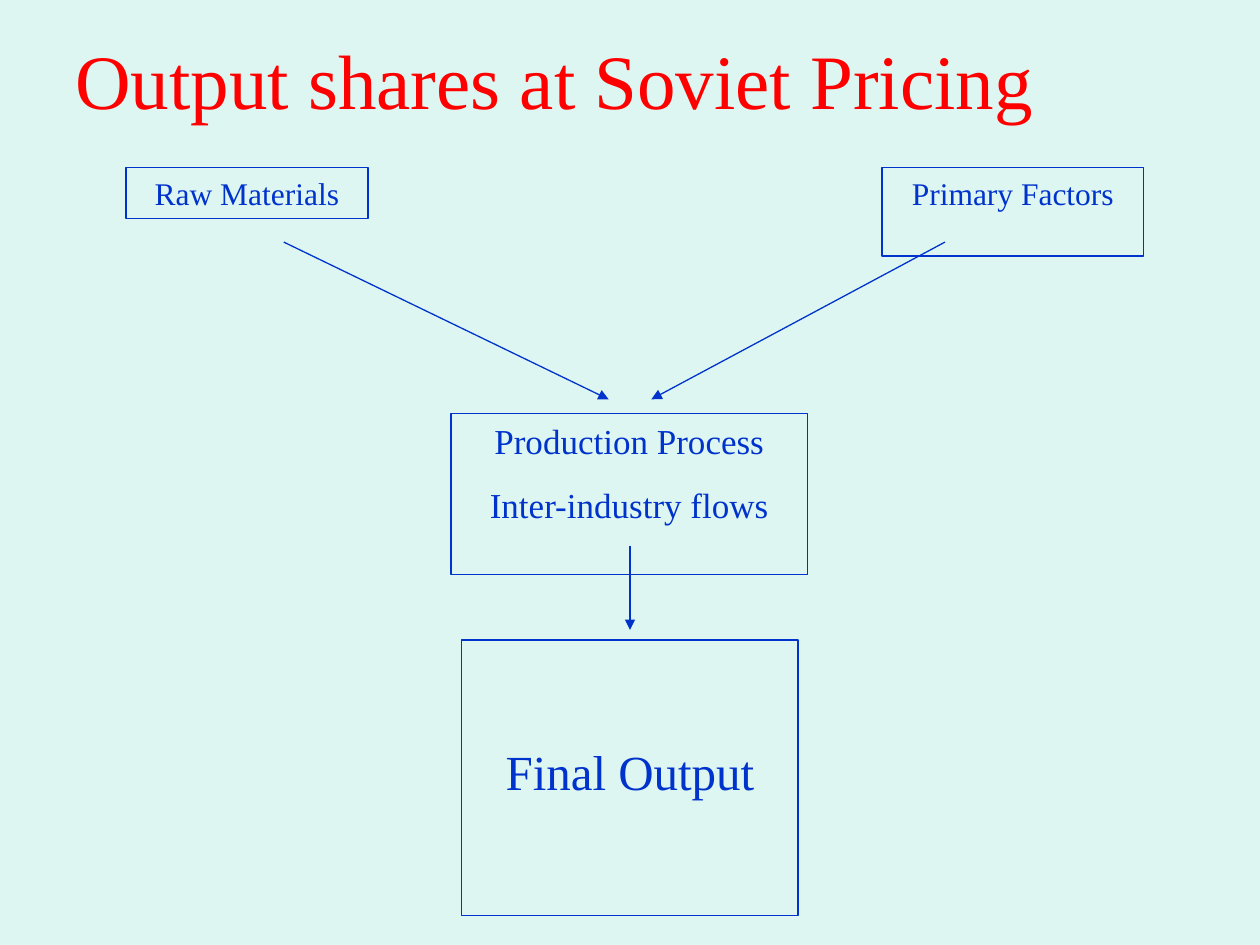
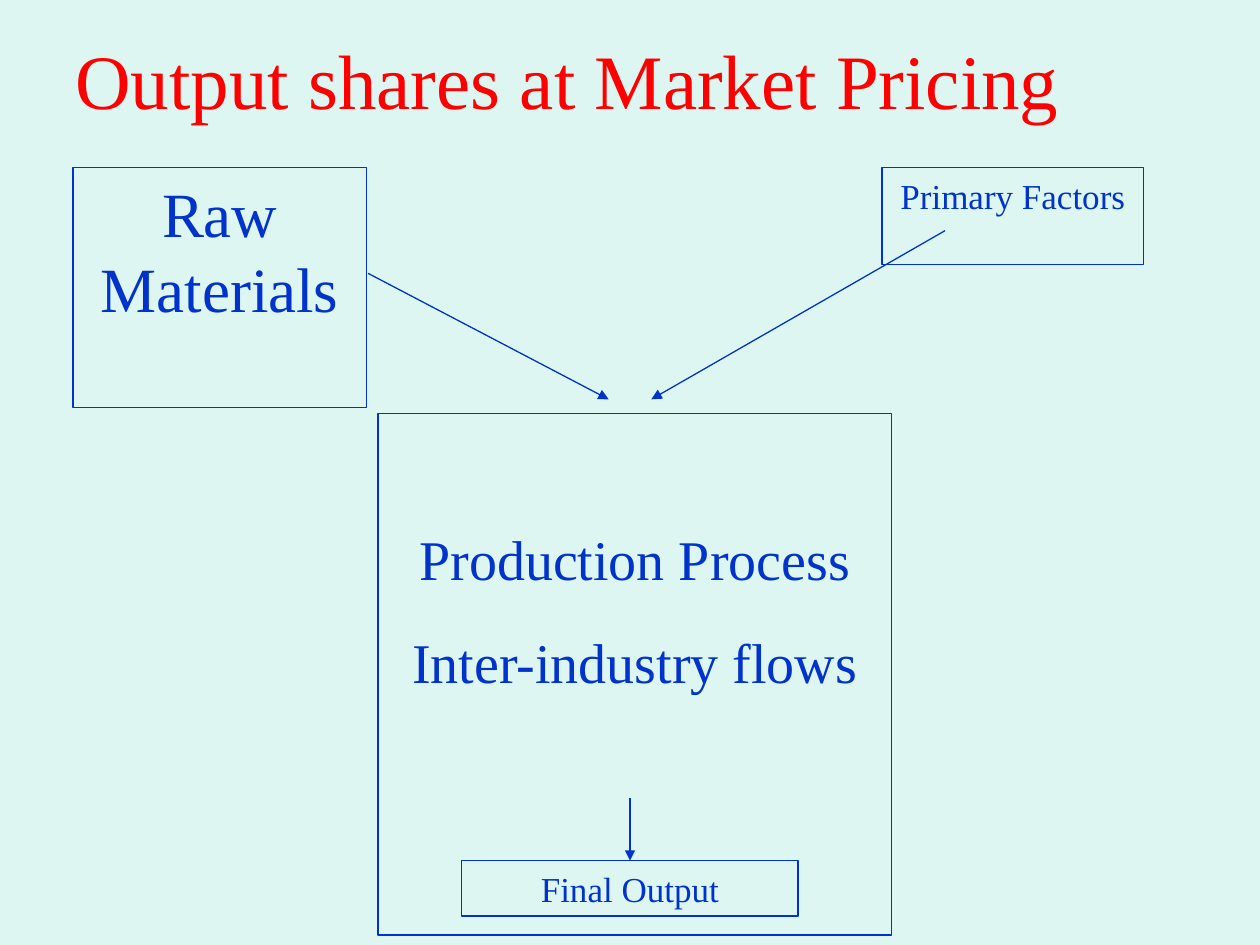
from pptx import Presentation
from pptx.dml.color import RGBColor
from pptx.enum.shapes import MSO_CONNECTOR, MSO_SHAPE
from pptx.enum.text import MSO_ANCHOR, PP_ALIGN
from pptx.oxml.ns import qn
from pptx.util import Cm, Pt
from lxml.etree import SubElement

FONT = "Times New Roman"
BACKGROUND, BLUE, RED = "DEF6F1", "0033CC", "FF0000"
LINE_WIDTH = Pt(0.75)
TOP_ROW, PROCESS_TOP = 3.38, 8.33
PRIMARY_LEFT, PRIMARY_WIDTH = 17.78, 5.28
FINAL_LEFT, FINAL_WIDTH = 9.31, 6.78
INFLOW_Y, RAW_END, PRIMARY_START, PRIMARY_END = 8.05, 12.27, 19.05, 13.13
CENTRE = 12.7


def colour(target, value):
    """Set a colour format from a hex string."""
    target.rgb = RGBColor.from_string(value)


def write(tf, lines, size, value, align):
    """Write one paragraph per line in a single style."""
    tf.word_wrap = True
    tf.margin_left = tf.margin_right = Cm(0.25)
    tf.margin_top = tf.margin_bottom = Cm(0.13)
    tf.text = "\n".join(lines)
    for p in tf.paragraphs:
        p.alignment = align
        p.space_before = Pt(size * 0.625)
        for r in p.runs:
            r.font.name = FONT
            r.font.size = Pt(size)
            colour(r.font.color, value)


def add_slide(prs, title):
    """Add a slide with the shared background and title."""
    s = prs.slides.add_slide(prs.slide_layouts[6])
    s.background.fill.solid()
    colour(s.background.fill.fore_color, BACKGROUND)
    tf = s.shapes.add_textbox(Cm(1.27), 0, Cm(22.86), Cm(3.18)).text_frame
    write(tf, [title], 44, RED, PP_ALIGN.LEFT)
    tf.paragraphs[0].space_before = Pt(0)
    tf.vertical_anchor = MSO_ANCHOR.MIDDLE
    return s


def add_box(s, lines, size, left, top, width, height, inset=0.13):
    """Add an outlined box whose text starts at the given top inset."""
    sp = s.shapes.add_shape(MSO_SHAPE.RECTANGLE, Cm(left), Cm(top), Cm(width), Cm(height))
    sp.shadow.inherit = False
    sp.fill.background()
    colour(sp.line.color, BLUE)
    sp.line.width = LINE_WIDTH
    write(sp.text_frame, lines, size, BLUE, PP_ALIGN.CENTER)
    sp.text_frame.margin_top = Cm(inset)
    sp.text_frame.vertical_anchor = MSO_ANCHOR.TOP
    return sp


def add_arrow(s, x1, y1, x2, y2):
    """Add a straight line with a triangular head at its end."""
    arrow = s.shapes.add_connector(MSO_CONNECTOR.STRAIGHT, Cm(x1), Cm(y1), Cm(x2), Cm(y2))
    colour(arrow.line.color, BLUE)
    arrow.line.width = LINE_WIDTH
    SubElement(arrow.line._get_or_add_ln(), qn("a:tailEnd"), type="triangle")
    SubElement(arrow._element.spPr, qn("a:effectLst"))
    return arrow


def add_inflows(s, raw_start, primary_y):
    """Add the two arrows that lead into the production process."""
    add_arrow(s, *raw_start, RAW_END, INFLOW_Y)
    add_arrow(s, PRIMARY_START, primary_y, PRIMARY_END, INFLOW_Y)


def add_soviet_slide(prs):
    """Build the flow with a large final output."""
    s = add_slide(prs, "Output shares at Soviet Pricing")
    add_box(s, ["Raw Materials"], 18, 2.54, TOP_ROW, 4.88, 1.02)
    add_box(s, ["Primary Factors"], 18, PRIMARY_LEFT, TOP_ROW, PRIMARY_WIDTH, 1.78)
    add_box(s, ["Production Process", "Inter-industry flows"], 20, 9.09, PROCESS_TOP, 7.19, 3.25)
    add_box(s, ["Final Output"], 28, FINAL_LEFT, 12.9, FINAL_WIDTH, 5.56, 2.05)
    add_inflows(s, (5.72, 4.88), 4.88)
    add_arrow(s, CENTRE, 11, CENTRE, 12.7)


def add_market_slide(prs):
    """Build the flow with large raw materials and production."""
    s = add_slide(prs, "Output shares at Market Pricing")
    add_box(s, ["Raw Materials"], 36, 1.47, TOP_ROW, 5.92, 4.83)
    add_box(s, ["Primary Factors"], 20, PRIMARY_LEFT, TOP_ROW, PRIMARY_WIDTH, 1.96)
    add_box(s, ["Production Process", "Inter-industry flows"], 32, 7.62, PROCESS_TOP, 10.36, 10.52, 2.25)
    final = add_box(s, ["Final Output"], 20, FINAL_LEFT, 17.35, FINAL_WIDTH, 1.12)
    add_inflows(s, (7.42, 5.51), 4.65)
    add_arrow(s, CENTRE, 16.08, CENTRE, 17.35).end_connect(final, 0)


def main():
    """Build and save the presentation."""
    prs = Presentation()
    prs.slide_width, prs.slide_height = Cm(25.4), Cm(19.05)
    add_soviet_slide(prs)
    add_market_slide(prs)
    prs.save("out.pptx")


if __name__ == "__main__":
    main()
